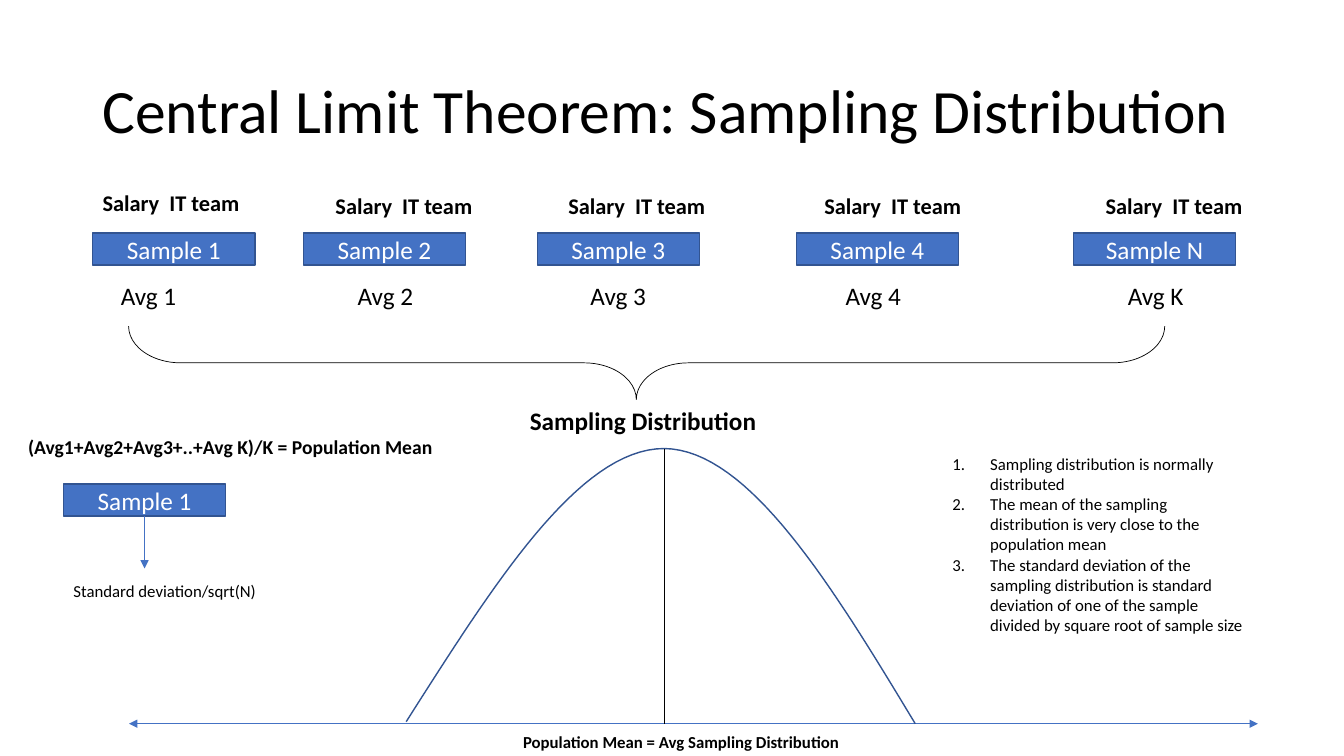
from dataclasses import dataclass

from lxml.etree import SubElement
from pptx import Presentation
from pptx.dml.color import RGBColor as Rgb
from pptx.enum.shapes import MSO_CONNECTOR as Link, MSO_SHAPE as Kind
from pptx.enum.text import MSO_ANCHOR as Anchor, MSO_AUTO_SIZE as Fit, PP_ALIGN as Align
from pptx.oxml.ns import qn
from pptx.util import Emu, Pt

COLS, ROWS = 160, 90
CELL = 76200


@dataclass(frozen=True)
class Theme:
    """Colours, type sizes and line widths of the slide."""
    font: str = "Calibri"
    ink: str = "000000"
    paper: str = "FFFFFF"
    blue: str = "4472C4"
    edge: str = "325491"
    title: int = 44
    body: int = 18
    label: int = 16
    mid: int = 14
    small: int = 12
    thin: float = 0.5
    thick: float = 1


THEME = Theme()
TEAMS = [
    ("1", "1", 11.04, 11.04, 21.96, 13.2),
    ("2", "2", 36.12, 38.76, 22.32, 41.4),
    ("3", "3", 63.96, 66.48, 22.32, 69.12),
    ("4", "4", 94.8, 96.96, 22.32, 99.48),
    ("N", "K", 127.8, 130.44, 22.32, 133.08),
]
FACTS = [
    "Sampling distribution is normally distributed",
    "The mean of the sampling distribution is very close to the population mean",
    "The standard deviation of the sampling distribution is standard deviation "
    "of one of the sample divided by square root of sample size",
]
BOX = (19.3, 3.84)
BASE = 86.16
PEAK = (79.08, 53.4)
BELL = [
    ((48.36, 85.92), (58.68, 69.72), (68.88, 53.4), PEAK),
    (PEAK, (89.16, 53.52), (99.12, 69.84), (108.96, BASE)),
]
STEPS = 32


def grid(*cells):
    """Turn grid cells into slide lengths."""
    return [Emu(round(cell * CELL)) for cell in cells]


def write(frame, *lines, size=THEME.body, color=THEME.ink, bold=False, align=None, gap=None):
    """Fill a text frame with formatted paragraphs."""
    frame.word_wrap = True
    for spot, line in enumerate(lines):
        para = frame.add_paragraph() if spot else frame.paragraphs[0]
        para.alignment = align
        para.line_spacing = gap
        run = para.add_run()
        run.text = line
        font = run.font
        font.name, font.size, font.bold = THEME.font, Pt(size), bold
        font.color.rgb = Rgb.from_string(color)


def label(slide, area, *lines, fit=Fit.SHAPE_TO_FIT_TEXT, **style):
    """Add a text box and return its frame."""
    frame = slide.shapes.add_textbox(*grid(*area)).text_frame
    write(frame, *lines, **style)
    frame.auto_size = fit
    return frame


def number(frame, indent):
    """Number the paragraphs of a frame with a hanging indent."""
    for para in frame.paragraphs:
        props = para._p.get_or_add_pPr()
        shift = grid(indent)[0]
        props.set("marL", str(shift))
        props.set("indent", str(-shift))
        SubElement(props, qn("a:buFont"), typeface="+mj-lt")
        SubElement(props, qn("a:buAutoNum"), type="arabicPeriod")


def stroke(item, color, width):
    """Set the outline of a shape or connector."""
    item.line.color.rgb = Rgb.from_string(color)
    item.line.width = Pt(width)


def box(slide, left, top, text):
    """Add a filled sample box."""
    shape = slide.shapes.add_shape(Kind.RECTANGLE, *grid(left, top, *BOX))
    shape.shadow.inherit = False
    shape.fill.solid()
    shape.fill.fore_color.rgb = Rgb.from_string(THEME.blue)
    stroke(shape, THEME.edge, THEME.thick)
    shape.text_frame.vertical_anchor = Anchor.MIDDLE
    write(shape.text_frame, text, color=THEME.paper, align=Align.CENTER)
    return shape


def line(slide, start, end, color, ends=()):
    """Add a straight line with arrowheads at the named ends."""
    link = slide.shapes.add_connector(Link.STRAIGHT, *grid(*start, *end))
    stroke(link, color, THEME.thin)
    for end in ends:
        SubElement(link.line._get_or_add_ln(), qn(f"a:{end}"), type="triangle")
    SubElement(link._element.spPr, qn("a:effectLst"))
    return link


def brace(slide, area, *bends):
    """Add a brace that opens upwards."""
    shape = slide.shapes.add_shape(Kind.RIGHT_BRACE, *grid(*area))
    shape.rotation = 90
    for spot, bend in enumerate(bends):
        shape.adjustments[spot] = bend
    shape.shadow.inherit = False
    shape.fill.background()
    stroke(shape, THEME.ink, THEME.thin)


def blend(knots, part):
    """Find the point at a given part of a cubic curve."""
    rest = 1 - part
    loads = (rest ** 3, 3 * rest ** 2 * part, 3 * rest * part ** 2, part ** 3)
    return grid(*(sum(load * val for load, val in zip(loads, axis)) for axis in zip(*knots)))


def curve(slide, arcs):
    """Draw joined cubic arcs as one open outline."""
    path = slide.shapes.build_freeform(*grid(*arcs[0][0]))
    dots = [blend(arc, step / STEPS) for arc in arcs for step in range(1, STEPS + 1)]
    path.add_line_segments(dots, close=False)
    shape = path.convert_to_shape()
    shape.shadow.inherit = False
    shape.fill.background()
    stroke(shape, THEME.edge, THEME.thick)


def teams(slide):
    """Add the row of samples with their averages."""
    for name, mean, left, head, top, foot in TEAMS:
        label(slide, (head, top, 19.3, 4.4), "Salary  IT team", size=THEME.label, bold=True)
        box(slide, left, 27.72, f"Sample {name}")
        label(slide, (foot, 32.76, 14.2, 4.8), f"Avg {mean}")


def bell(slide):
    """Add the bell curve, its axis and its captions."""
    label(slide, (44.16, 47.64, 64.8, 4.8), "Sampling Distribution", bold=True, align=Align.CENTER)
    line(slide, (15.36, BASE), (149.76, BASE), THEME.blue, ("headEnd", "tailEnd"))
    curve(slide, BELL)
    line(slide, PEAK, (PEAK[0], BASE), THEME.ink)
    label(slide, (61.08, 86.52, 49.44, 3.6), "Population Mean = Avg Sampling Distribution",
          size=THEME.small, bold=True)


def spread(slide):
    """Add the mean formula and the deviation of one sample."""
    label(slide, (2.16, 51.24, 54, 4.1), "(Avg1+Avg2+Avg3+..+Avg K)/K = Population Mean",
          size=THEME.mid, bold=True)
    left, top = 7.56, 57.6
    shape = box(slide, left, top, "Sample 1")
    mid = left + BOX[0] / 2
    link = line(slide, (mid, top + BOX[1]), (mid, 67.68), THEME.blue, ("tailEnd",))
    link.begin_connect(shape, 2)
    label(slide, (left, 68.52, 28.56, 3.6), "Standard deviation/sqrt(N)", size=THEME.small)


def main():
    """Build and save the slide."""
    deck = Presentation()
    deck.slide_width, deck.slide_height = grid(COLS, ROWS)
    slide = deck.slides.add_slide(deck.slide_layouts[6])
    title = label(slide, (11, 4.8, 138, 17.4), "Central Limit Theorem: Sampling Distribution",
                  fit=Fit.NONE, size=THEME.title, gap=0.9)
    title.vertical_anchor = Anchor.MIDDLE
    teams(slide)
    brace(slide, (72.6, -18.48, 8.76, 123.36), 0.71, 0.51)
    bell(slide)
    number(label(slide, (112.2, 53.4, 37.7, 23.04), *FACTS, size=THEME.small), 4.5)
    spread(slide)
    deck.save("out.pptx")


if __name__ == "__main__":
    main()
